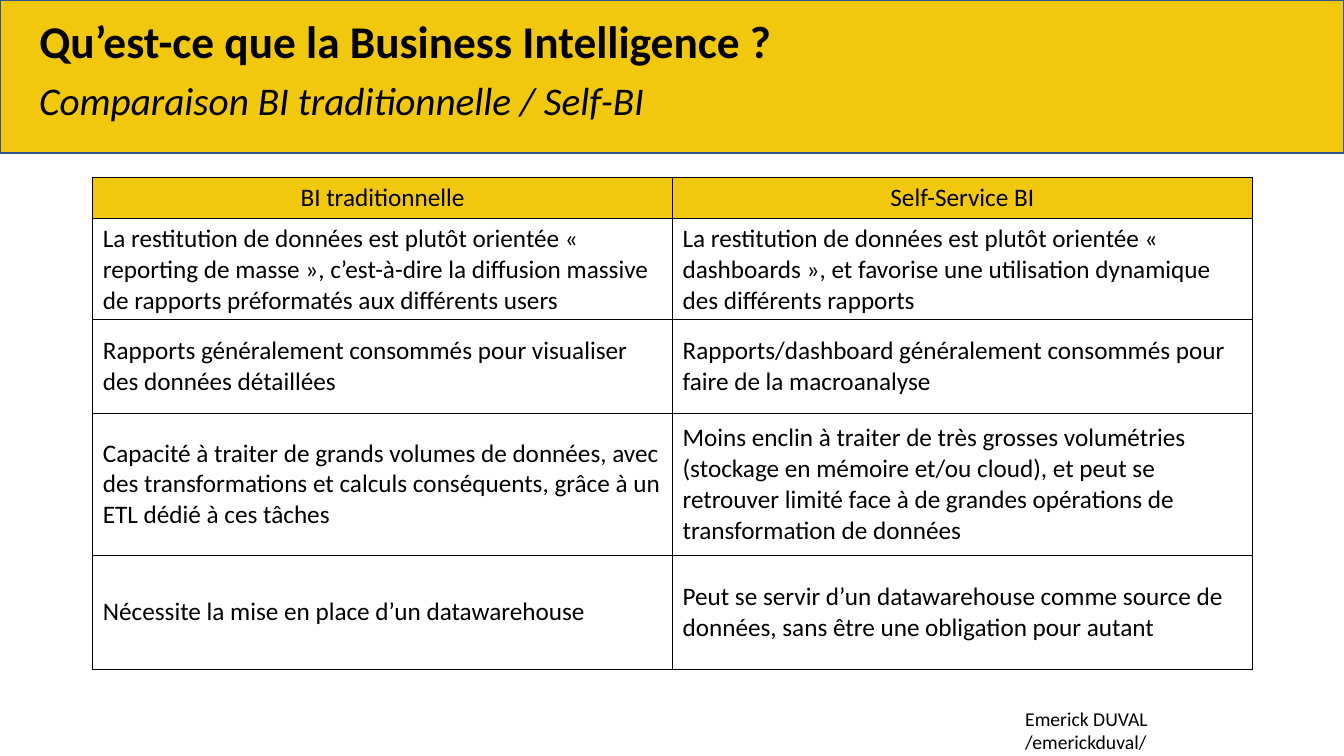
import pptx
import pptx.util
import pptx.dml.color
import pptx.enum.shapes
import pptx.enum.text
import pptx.oxml
import pptx.oxml.ns
from lxml import etree

Inches, Pt = pptx.util.Inches, pptx.util.Pt
RGB = pptx.dml.color.RGBColor.from_string
ALIGN = pptx.enum.text.PP_ALIGN
ANCHOR = pptx.enum.text.MSO_ANCHOR
qn = pptx.oxml.ns.qn

COLORS = {"yellow": "F2C80E", "outline": "325491", "black": "000000", "white": "FFFFFF"}
ROWS = [
    ("BI traditionnelle", "Self-Service BI"),
    ("La restitution de données est plutôt orientée « reporting de masse », c’est-à-dire "
     "la diffusion massive de rapports préformatés aux différents users",
     "La restitution de données est plutôt orientée « dashboards », et favorise une "
     "utilisation dynamique des différents rapports"),
    ("Rapports généralement consommés pour visualiser des données détaillées",
     "Rapports/dashboard généralement consommés pour faire de la macroanalyse"),
    ("Capacité à traiter de grands volumes de données, avec des transformations et calculs "
     "conséquents, grâce à un ETL dédié à ces tâches",
     "Moins enclin à traiter de très grosses volumétries (stockage en mémoire et/ou cloud), "
     "et peut se retrouver limité face à de grandes opérations de transformation de données"),
    ("Nécessite la mise en place d’un datawarehouse",
     "Peut se servir d’un datawarehouse comme source de données, sans être une obligation "
     "pour autant"),
]
ROW_HEIGHTS = [0.41, 0.93, 0.93, 1.41, 1.13]


def write(tf, text, size, bold=False, italic=False, align=ALIGN.LEFT):
    """Fill a text frame with one formatted paragraph and return it."""
    tf.text = text
    tf.word_wrap = True
    p = tf.paragraphs[0]
    p.alignment = align
    for r in p.runs:
        r.font.name = "Calibri"
        r.font.size = Pt(size)
        r.font.bold = bold
        r.font.italic = italic
        r.font.color.rgb = RGB(COLORS["black"])
    return p


def add_borders(cell):
    tc_pr = cell._tc.get_or_add_tcPr()
    for side in ("lnL", "lnR", "lnT", "lnB"):
        ln = etree.SubElement(tc_pr, qn(f"a:{side}"), w=str(Pt(1)))
        fill = etree.SubElement(ln, qn("a:solidFill"))
        etree.SubElement(fill, qn("a:srgbClr"), val=COLORS["black"])


prs = pptx.Presentation()
prs.slide_width, prs.slide_height = Inches(13.33), Inches(7.5)
s = prs.slides.add_slide(prs.slide_layouts[5])

# Header band, behind the title
band = s.shapes.add_shape(pptx.enum.shapes.MSO_SHAPE.RECTANGLE,
                          0, 0, prs.slide_width, Inches(1.52))
band.shadow.inherit = False
band.fill.solid()
band.fill.fore_color.rgb = RGB(COLORS["yellow"])
band.line.color.rgb = RGB(COLORS["outline"])
band.line.width = Pt(1)
s.shapes._spTree.insert(2, band._element)

title = s.shapes.title
title.left, title.top = Inches(0.29), Inches(0.11)
title.width, title.height = Inches(12.64), Inches(0.64)
p = write(title.text_frame, "Qu’est-ce que la Business Intelligence ?", 32.4, bold=True)
p.line_spacing = 0.9
title.text_frame.auto_size = pptx.enum.text.MSO_AUTO_SIZE.NONE
title.text_frame.vertical_anchor = ANCHOR.MIDDLE

subtitle = s.shapes.add_textbox(Inches(0.29), Inches(0.76), Inches(10.91), Inches(0.52))
p = write(subtitle.text_frame, "Comparaison BI traditionnelle / Self-BI", 28, italic=True)
p.line_spacing = 0.9
p.space_before = Pt(10)

# Comparison table
table = s.shapes.add_table(len(ROWS), 2, Inches(0.92), Inches(1.76),
                           Inches(11.5), Inches(sum(ROW_HEIGHTS))).table
table.first_row = table.horz_banding = False
for i, (texts, height) in enumerate(zip(ROWS, ROW_HEIGHTS)):
    table.rows[i].height = Inches(height)
    header = i == 0
    for j, text in enumerate(texts):
        cell = table.cell(i, j)
        write(cell.text_frame, text, 18, align=ALIGN.CENTER if header else ALIGN.LEFT)
        cell.vertical_anchor = ANCHOR.TOP if header else ANCHOR.MIDDLE
        add_borders(cell)
        cell.fill.solid()
        cell.fill.fore_color.rgb = RGB(COLORS["yellow" if header else "white"])

# Author line, with a tab stop before the handle
author = s.shapes.add_textbox(Inches(10.07), Inches(6.96), Inches(2.97), Inches(0.34))
p = write(author.text_frame, "Emerick DUVAL\t/emerickduval/", 14)
tabs = etree.SubElement(p._p.get_or_add_pPr(), qn("a:tabLst"))
etree.SubElement(tabs, qn("a:tab"), pos=str(Inches(1.58)), algn="l")

prs.save("out.pptx")
